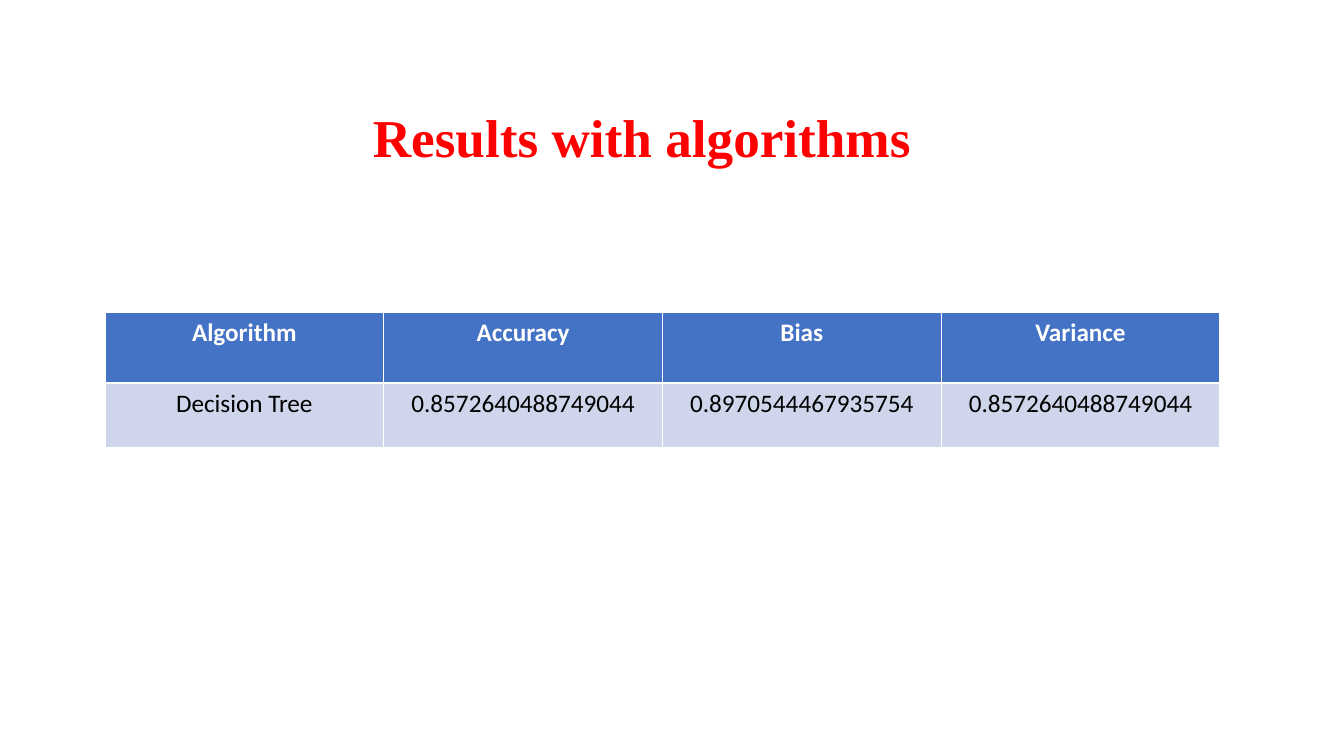
"""Build a slide with a title and a table of algorithm results."""
import pptx
import pptx.util
import pptx.dml.color
import pptx.enum.text

PIXEL = 914400 / 100.8
COLOURS = {"title": "FF0000", "header": "4472C4", "body": "CFD5EA",
           "header_text": "FFFFFF", "body_text": "000000"}
RESULTS = [
    ["Algorithm", "Accuracy", "Bias", "Variance"],
    ["Decision Tree", "0.8572640488749044", "0.8970544467935754", "0.8572640488749044"],
]
ROW_HEIGHTS = [71, 65]


def pixels(*lengths):
    return [pptx.util.Emu(round(length * PIXEL)) for length in lengths]


def write(text_frame, text, colour, font_format):
    text_frame.text = text
    paragraph = text_frame.paragraphs[0]
    paragraph.alignment = pptx.enum.text.PP_ALIGN.CENTER
    font = paragraph.runs[0].font
    for name, value in font_format.items():
        setattr(font, name, value)
    font.color.rgb = pptx.dml.color.RGBColor.from_string(COLOURS[colour])
    return paragraph


presentation = pptx.Presentation()
presentation.slide_width, presentation.slide_height = pixels(1344, 756)
slide = presentation.slides.add_slide(presentation.slide_layouts[5])

title = slide.shapes.title
title.left, title.top, title.width, title.height = pixels(300, 109, 684, 62)
title_frame = title.text_frame
title_format = {"auto_size": pptx.enum.text.MSO_AUTO_SIZE.NONE, "word_wrap": True,
                "vertical_anchor": pptx.enum.text.MSO_ANCHOR.MIDDLE}
for name, value in title_format.items():
    setattr(title_frame, name, value)
title_paragraph = write(title_frame, "Results with algorithms", "title",
                        {"name": "Times New Roman", "size": pptx.util.Pt(38), "bold": True})
title_paragraph.line_spacing = 0.9

table = slide.shapes.add_table(len(RESULTS), len(RESULTS[0]),
                               *pixels(105, 312, 1115, sum(ROW_HEIGHTS))).table
for row, height in zip(table.rows, pixels(*ROW_HEIGHTS)):
    row.height = height
for row_index, values in enumerate(RESULTS):
    kind = "header" if row_index == 0 else "body"
    cell_format = {"name": "Calibri", "size": pptx.util.Pt(18), "bold": kind == "header"}
    for column_index, value in enumerate(values):
        cell = table.cell(row_index, column_index)
        cell.fill.solid()
        cell.fill.fore_color.rgb = pptx.dml.color.RGBColor.from_string(COLOURS[kind])
        write(cell.text_frame, value, kind + "_text", cell_format)

presentation.save("out.pptx")
